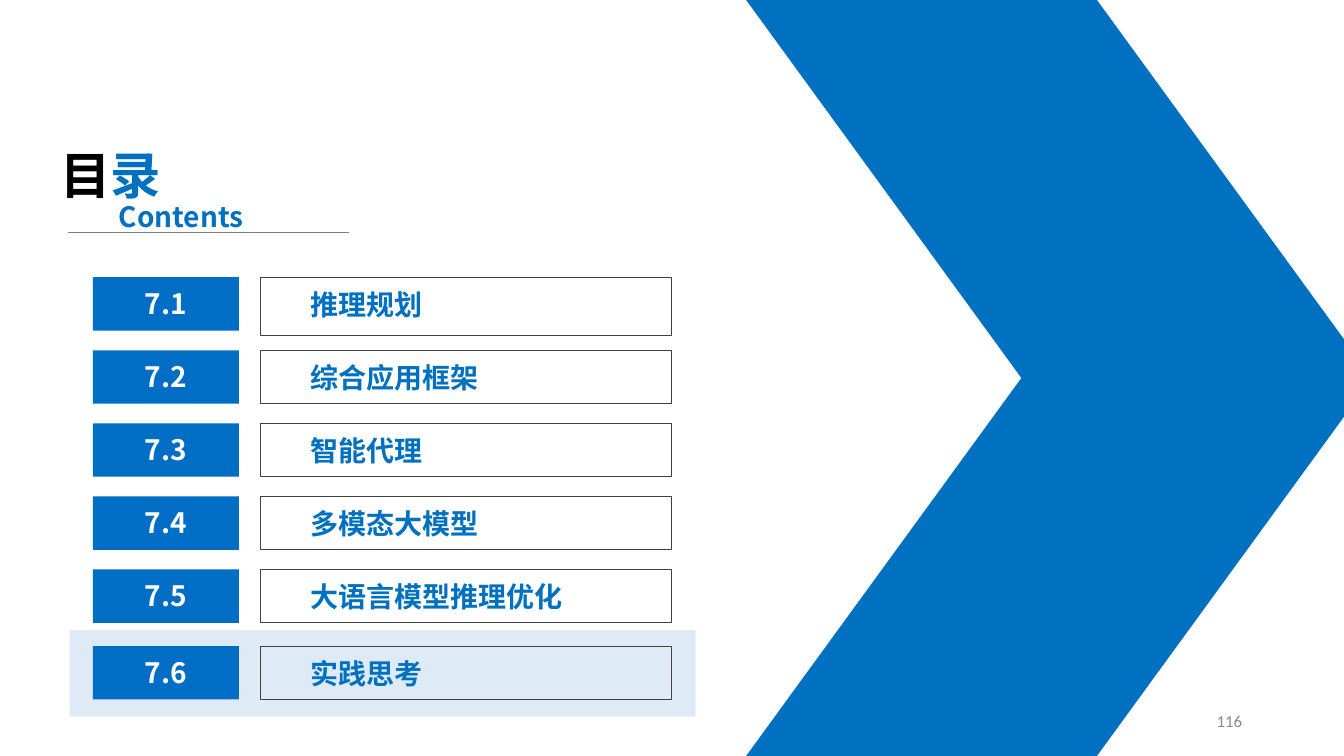
"""Build the chapter 7 contents slide with its last section highlighted."""
from dataclasses import dataclass

from lxml.etree import SubElement
from pptx import Presentation
from pptx.dml.color import RGBColor
from pptx.enum.shapes import MSO_CONNECTOR, MSO_SHAPE
from pptx.enum.text import MSO_ANCHOR, MSO_AUTO_SIZE, PP_ALIGN
from pptx.oxml.ns import qn
from pptx.util import Inches, Pt


@dataclass(frozen=True)
class Theme:
    blue: str = "0070C0"
    badge: str = "006EC5"
    highlight: str = "DEEBF7"
    outline: str = "404040"
    rule: str = "7F7F7F"
    page: str = "898989"
    black: str = "000000"
    white: str = "FFFFFF"
    heading_font: str = "Noto Sans CJK SC"
    page_font: str = "Calibri"
    title_size: int = 36
    item_size: int = 20
    page_size: int = 12


theme = Theme()
prs = Presentation()
prs.slide_width, prs.slide_height = Inches(13.33), Inches(7.5)
slide = prs.slides.add_slide(prs.slide_layouts[6])


def add_block(box, kind=MSO_SHAPE.RECTANGLE, fill=None, line=None):
    block = slide.shapes.add_shape(kind, *map(Inches, box))
    block.shadow.inherit = False
    if fill:
        block.fill.solid()
        block.fill.fore_color.rgb = RGBColor.from_string(fill)
    else:
        block.fill.background()
    if line:
        block.line.color.rgb = RGBColor.from_string(line)
        block.line.width = Pt(0.75)
    else:
        block.line.fill.background()
    return block


def write(text, box=None, paragraph=None, color=theme.blue, size=theme.item_size,
          font=theme.heading_font, bold=True, align=PP_ALIGN.LEFT,
          anchor=MSO_ANCHOR.TOP, grow=True):
    if paragraph is None:
        frame = slide.shapes.add_textbox(*map(Inches, box)).text_frame
        frame.word_wrap = True
        frame.auto_size = MSO_AUTO_SIZE.SHAPE_TO_FIT_TEXT if grow else MSO_AUTO_SIZE.NONE
        frame.vertical_anchor = anchor
        paragraph = frame.paragraphs[0]
        paragraph.alignment = align
    run = paragraph.add_run()
    run.text = text
    run.font.size = Pt(size)
    run.font.bold = bold
    run.font.name = font
    run.font.color.rgb = RGBColor.from_string(color)
    SubElement(run.font._element, qn("a:ea"), typeface=font)
    return paragraph


add_block((0.69, 6.25, 6.21, 0.86), fill=theme.highlight)

for band_top, flipped in ((3.75, False), (0, True)):
    band = add_block((7.4, band_top, 6.21, 3.75), MSO_SHAPE.PARALLELOGRAM, fill=theme.blue)
    band.adjustments[0] = 0.728
    if flipped:
        band._element.spPr.get_or_add_xfrm().set("flipV", "1")

title = write("目", (0.5, 1.38, 1.57, 0.71), color=theme.black, size=theme.title_size)
write("录", paragraph=title, size=theme.title_size)
write("Contents", (1.08, 1.93, 1.57, 0.44))

title_rule = slide.shapes.add_connector(
    MSO_CONNECTOR.STRAIGHT, Inches(0.67), Inches(2.31), Inches(3.46), Inches(2.31))
title_rule.line.color.rgb = RGBColor.from_string(theme.rule)
title_rule.line.width = Pt(0.5)
SubElement(title_rule._element.spPr, qn("a:effectLst"))

sections = ("推理规划", "综合应用框架", "智能代理", "多模态大模型", "大语言模型推理优化", "实践思考")
first_top, row_pitch, row_height = 2.75, 0.725, 0.53
highlighted_top = 6.41

for index, section in enumerate(sections):
    is_last = index == len(sections) - 1
    top = highlighted_top if is_last else first_top + index * row_pitch
    outline_height = 0.58 if index == 0 else row_height
    add_block((2.58, top, 4.08, outline_height), line=theme.outline)
    write(section, (2.98, top + 0.05, 4.08, 0.44))
    add_block((0.92, top, 1.45, row_height), fill=theme.badge)
    write(f"7.{index + 1}", (1.12, top + 0.04, 1.05, 0.44),
          color=theme.white, align=PP_ALIGN.CENTER)

write("116", (9.42, 6.95, 3, 0.4), color=theme.page, size=theme.page_size,
      font=theme.page_font, bold=False, align=PP_ALIGN.RIGHT,
      anchor=MSO_ANCHOR.MIDDLE, grow=False)

prs.save("out.pptx")
